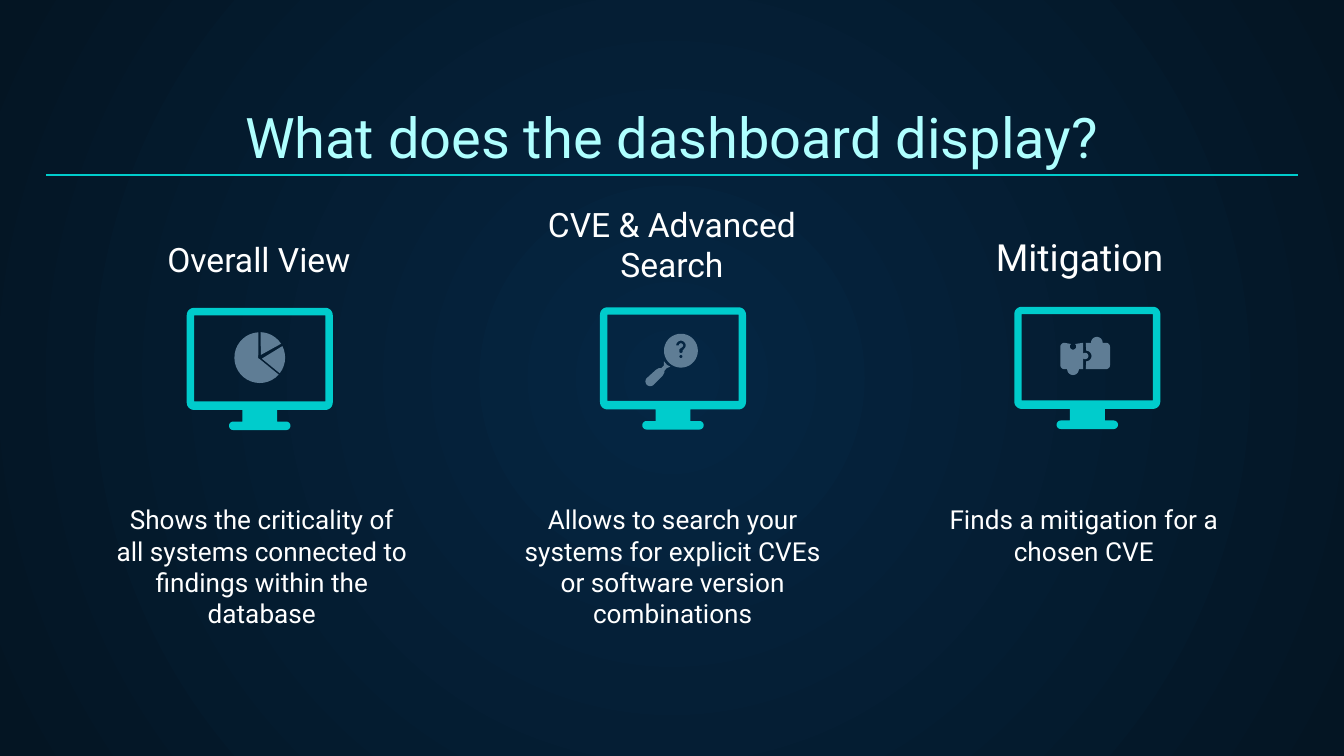
"""Build the dashboard overview slide with three monitor columns."""
import math
from dataclasses import dataclass

from lxml import etree
from pptx import Presentation
from pptx import util as u
from pptx.dml.color import RGBColor
from pptx.enum import shapes, text
from pptx.oxml.ns import qn
from pptx.shapes.base import BaseShape
from pptx.slide import Slide

Point = tuple[float, float]
Contour = list[Point]
Icon = list[list[Contour]]


@dataclass(frozen=True)
class Theme:
    font: str = "Roboto"
    center: str = "052643"
    edge: str = "041523"
    title: str = "AFFFFF"
    body: str = "FFFFFF"
    accent: str = "00CCCC"
    icon: str = "5F7D95"
    title_size: int = 30
    heading_size: int = 18
    large_heading_size: int = 20
    body_size: int = 14
    rule_width: float = 0.75


@dataclass(frozen=True)
class Box:
    left: float
    top: float
    width: float
    height: float


@dataclass(frozen=True)
class Label:
    words: str
    box: Box
    size: int


@dataclass(frozen=True)
class Column:
    heading: Label
    description: Label
    monitor: Point
    icon: Icon


THEME = Theme()


def arc(x: float, y: float, radius: float, start: float, end: float) -> Contour:
    steps = max(2, math.ceil(abs(end - start) / 10))
    angles = [math.radians(start + (end - start) * i / steps) for i in range(steps + 1)]
    return [(x + radius * math.cos(a), y + radius * math.sin(a)) for a in angles]


def monitor_outline() -> list[Contour]:
    frame = [
        *arc(-1.24, 0.14, 0.14, 180, 270),
        *arc(1.24, 0.14, 0.14, 270, 360),
        *arc(1.24, 1.79, 0.14, 0, 90),
        (0.33, 1.93), (0.33, 2.15),
        *arc(0.5, 2.23, 0.08, -90, 90),
        *arc(-0.5, 2.23, 0.08, 90, 270),
        (-0.33, 2.15), (-0.33, 1.93),
        *arc(-1.24, 1.79, 0.14, 90, 180),
    ]
    screen = [(-1.24, 0.14), (-1.24, 1.77), (1.24, 1.77), (1.24, 0.14)]
    return [frame, screen]


def pie_icon() -> Icon:
    x, y, radius = 0, 0.94, 0.48
    return [
        [[*arc(x, y, radius, 267, 42), (0, 0.97), (-0.03, 0.95)]],
        [[*arc(x, y, radius, -88, -33), (0.02, 0.89)]],
        [[*arc(x, y, radius, -27, 38), (0.04, 0.96)]],
    ]


def search_icon() -> Icon:
    x, y = 0.15, 0.82
    question_mark = [
        *arc(x, y - 0.1, 0.09, 180, 410),
        (x + 0.03, y), (x + 0.03, y + 0.03), (x, y + 0.05),
        (x - 0.03, y + 0.03), (x - 0.03, y - 0.03),
        *arc(x, y - 0.1, 0.04, 60, -180),
    ]
    handle = [
        (-0.17, 1.02), (-0.17, 1.1), (-0.22, 1.15), (-0.27, 1.15), (-0.32, 1.18),
        *arc(-0.43, 1.4, 0.09, 225, 45),
        (-0.2, 1.3), (-0.16, 1.23), (-0.16, 1.2), (-0.12, 1.15),
        (-0.05, 1.12), (-0.11, 1.09),
    ]
    lens = arc(x, y, 0.32, 0, 360)
    dot = arc(x, y + 0.11, 0.03, 360, 0)
    return [[handle], [lens, question_mark, dot]]


def puzzle_icon() -> Icon:
    left_piece = [
        *arc(-0.43, 0.76, 0.08, 180, 270),
        *arc(-0.27, 0.75, 0.06, 230, -50),
        (-0.08, 0.68),
        *arc(-0.04, 0.93, 0.06, 230, 490),
        (-0.08, 1.18),
        *arc(-0.27, 1.18, 0.11, 0, 180),
        *arc(-0.43, 1.1, 0.08, 90, 180),
    ]
    right_piece = [
        (-0.03, 0.68),
        *arc(0.18, 0.68, 0.11, 180, 360),
        *arc(0.35, 0.76, 0.08, 270, 360),
        *arc(0.35, 1.1, 0.08, 0, 90),
        (-0.03, 1.18),
        *arc(-0.02, 0.93, 0.1, 90, -90),
    ]
    return [[left_piece], [right_piece]]


def draw_outline(slide: Slide, origin: Point, contours: list[Contour], color: str) -> None:
    placed = [[(u.Cm(origin[0] + x), u.Cm(origin[1] + y)) for x, y in c] for c in contours]
    builder = slide.shapes.build_freeform(*placed[0][0], scale=1.0)
    for index, contour in enumerate(placed):
        if index:
            builder.move_to(*contour[0])
        builder.add_line_segments(contour[1:], close=True)
    shape = builder.convert_to_shape()
    shape.shadow.inherit = False
    shape.fill.solid()
    shape.fill.fore_color.rgb = RGBColor.from_string(color)
    shape.line.fill.background()


def write_label(shape: BaseShape, label: Label, color: str, anchor: text.MSO_ANCHOR) -> None:
    box, frame = label.box, shape.text_frame
    frame.text = label.words
    paragraph = frame.paragraphs[0]
    margins = {f"margin_{side}": u.Cm(0.25) for side in ("left", "top", "right", "bottom")}
    formats = (
        (shape, {k: u.Cm(getattr(box, k)) for k in ("left", "top", "width", "height")}),
        (frame, {"word_wrap": True, "auto_size": text.MSO_AUTO_SIZE.NONE,
                 "vertical_anchor": anchor, **margins}),
        (paragraph, {"alignment": text.PP_ALIGN.CENTER}),
        (paragraph.runs[0].font, {"name": THEME.font, "size": u.Pt(label.size)}),
    )
    for target, values in formats:
        for name, value in values.items():
            setattr(target, name, value)
    paragraph.runs[0].font.color.rgb = RGBColor.from_string(color)


def draw_label(slide: Slide, label: Label, anchor: text.MSO_ANCHOR) -> None:
    write_label(slide.shapes.add_textbox(0, 0, 0, 0), label, THEME.body, anchor)


def draw_column(slide: Slide, column: Column) -> None:
    draw_label(slide, column.heading, text.MSO_ANCHOR.BOTTOM)
    draw_label(slide, column.description, text.MSO_ANCHOR.TOP)
    draw_outline(slide, column.monitor, monitor_outline(), THEME.accent)
    for piece in column.icon:
        draw_outline(slide, column.monitor, piece, THEME.icon)


def draw_rule(slide: Slide, left: float, right: float, y: float) -> None:
    rule = slide.shapes.add_connector(
        shapes.MSO_CONNECTOR.STRAIGHT, u.Cm(left), u.Cm(y), u.Cm(right), u.Cm(y))
    rule.line.color.rgb = RGBColor.from_string(THEME.accent)
    rule.line.width = u.Pt(THEME.rule_width)
    etree.SubElement(rule._element.spPr, qn("a:effectLst"))


def paint_background(slide: Slide) -> None:
    fill = slide.background.fill
    fill.gradient()
    for stop, color in zip(fill.gradient_stops, (THEME.center, THEME.edge)):
        stop.color.rgb = RGBColor.from_string(color)
    linear = next(slide._element.iter(qn("a:lin")))
    radial = etree.Element(qn("a:path"), {"path": "circle"})
    etree.SubElement(radial, qn("a:fillToRect"), dict.fromkeys("ltrb", "50000"))
    linear.getparent().replace(linear, radial)


def main() -> None:
    presentation = Presentation()
    presentation.slide_width, presentation.slide_height = u.Cm(25.4), u.Cm(14.29)
    slide = presentation.slides.add_slide(presentation.slide_layouts[5])
    paint_background(slide)
    title = Label("What does the dashboard display?", Box(0.87, 1.78, 23.66, 1.68), THEME.title_size)
    write_label(slide.shapes.title, title, THEME.title, text.MSO_ANCHOR.BOTTOM)
    draw_rule(slide, 0.87, 24.53, 3.31)
    columns = (
        Column(Label("Overall View", Box(2.01, 5, 5.77, 0.53), THEME.heading_size),
               Label("Shows the criticality of all systems connected to findings within the database",
                     Box(1.9, 9.27, 6.1, 2.87), THEME.body_size),
               (4.91, 5.82), pie_icon()),
        Column(Label("CVE & Advanced Search", Box(9.27, 5.1, 6.86, 0.53), THEME.heading_size),
               Label("Allows to search your systems for explicit CVEs or software version combinations",
                     Box(9.45, 9.27, 6.53, 2.87), THEME.body_size),
               (12.72, 5.81), search_icon()),
        Column(Label("Mitigation", Box(17.27, 5, 6.27, 0.53), THEME.large_heading_size),
               Label("Finds a mitigation for a chosen CVE",
                     Box(17.6, 9.27, 5.77, 1.4), THEME.body_size),
               (20.55, 5.8), puzzle_icon()),
    )
    for column in columns:
        draw_column(slide, column)
    presentation.save("out.pptx")


if __name__ == "__main__":
    main()
